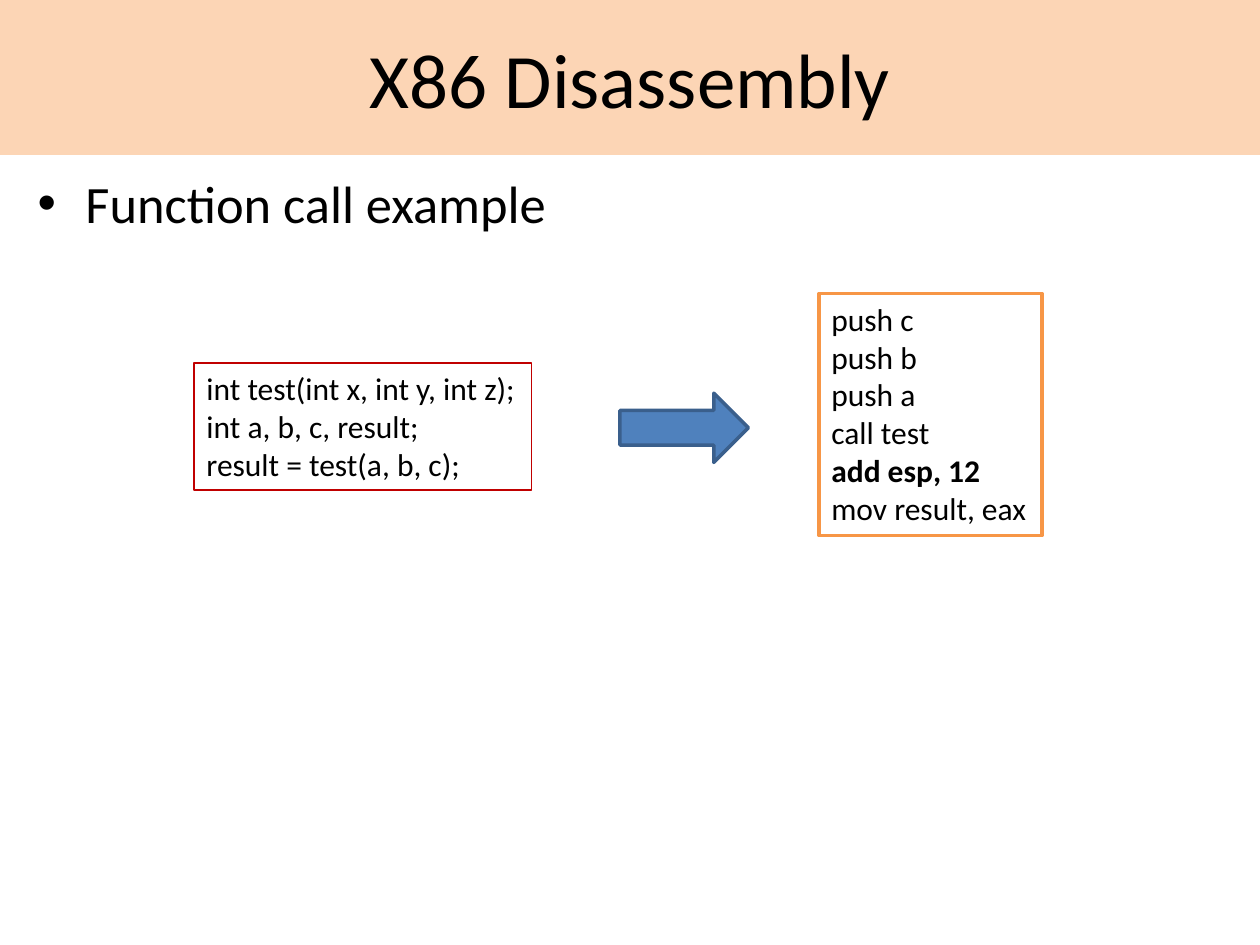
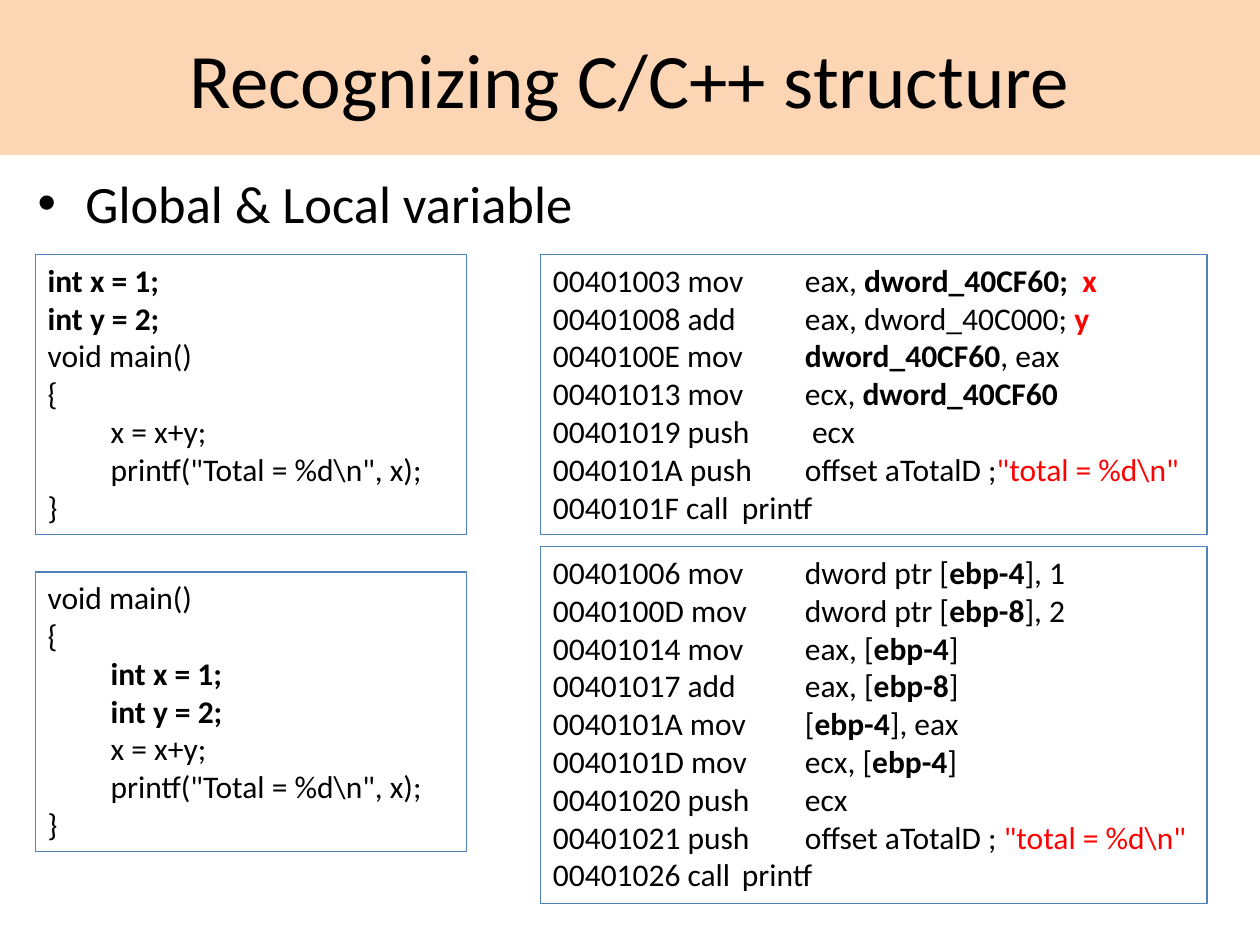
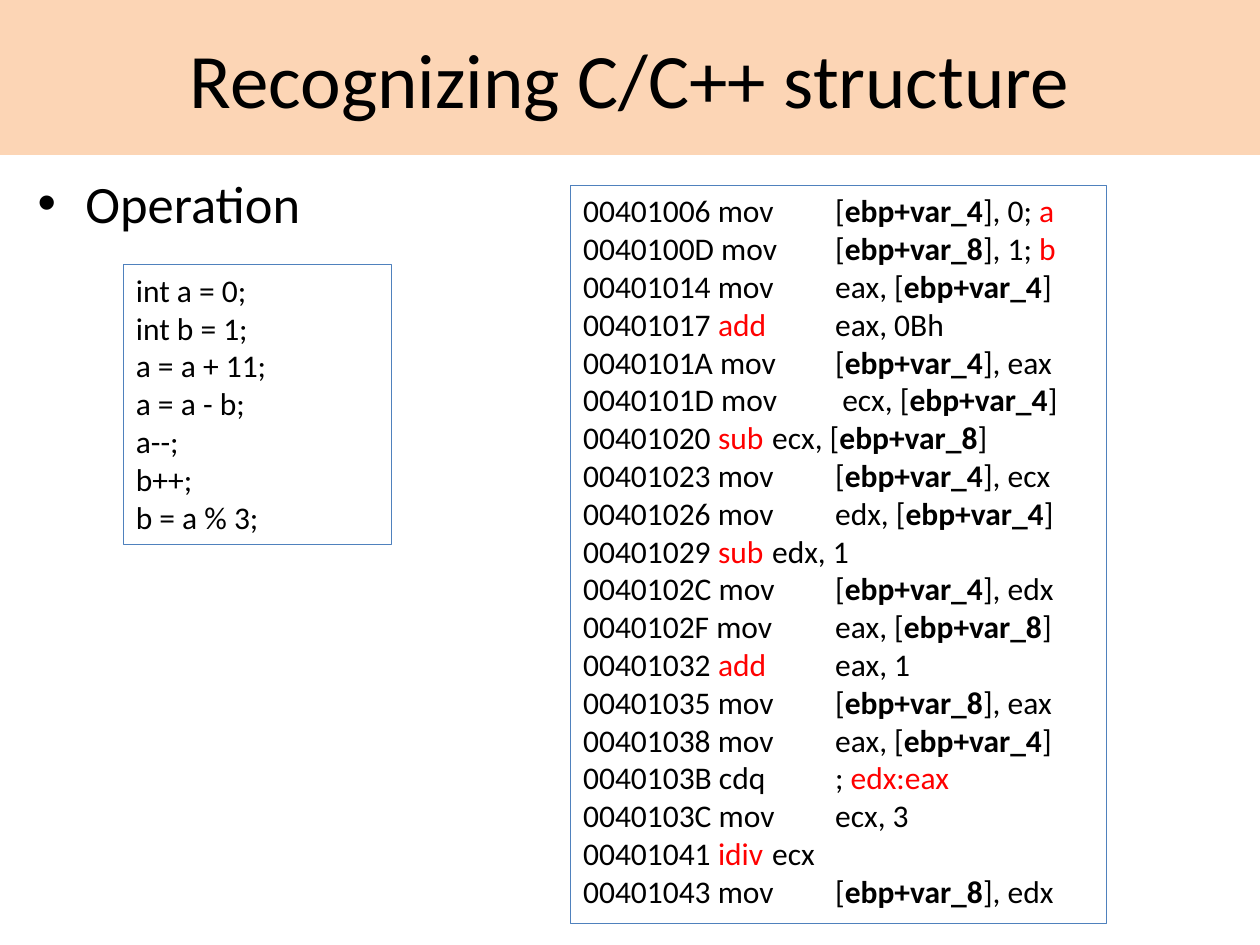
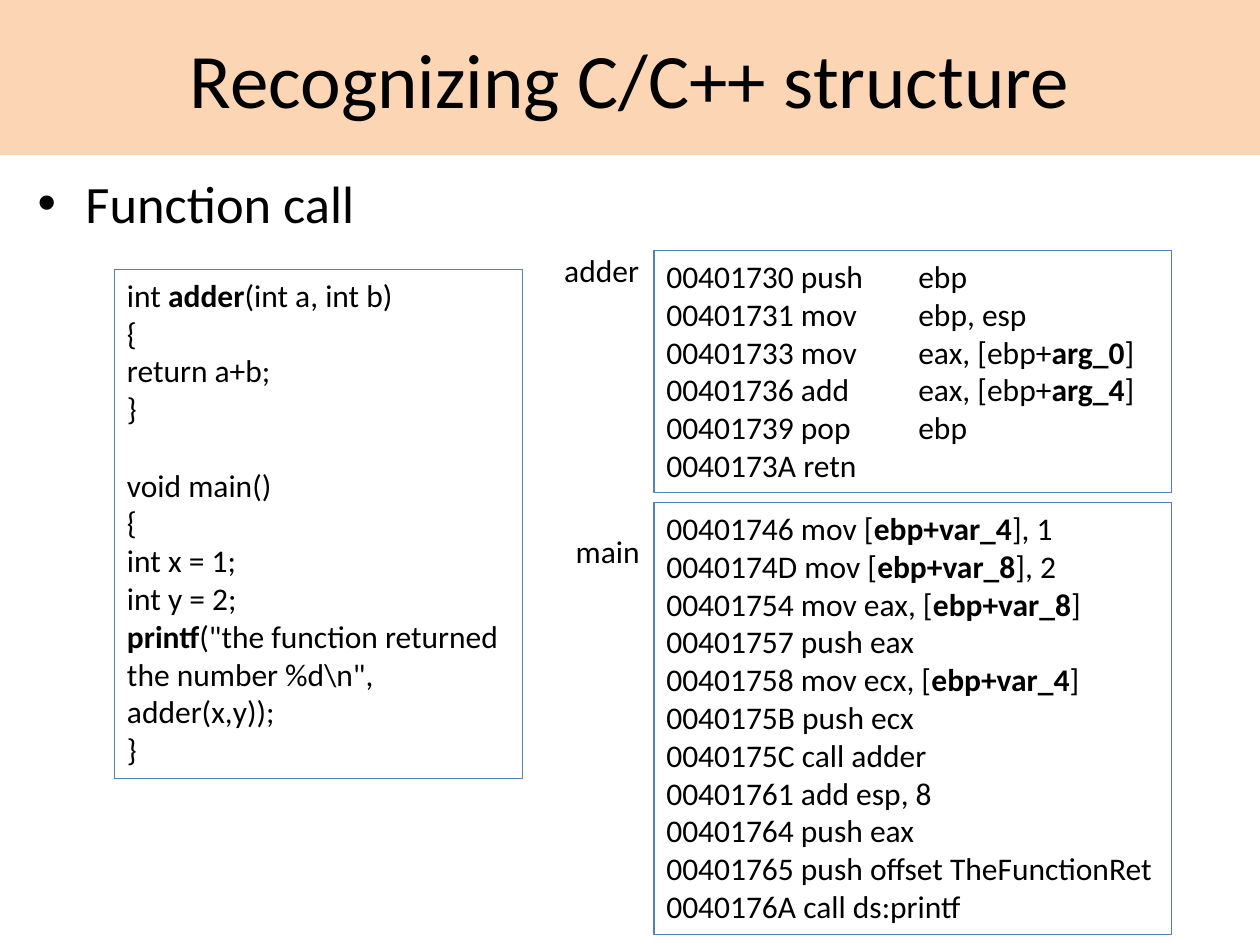
from lxml.etree import SubElement
from pptx import Presentation
from pptx.dml.color import RGBColor
from pptx.enum.shapes import MSO_SHAPE as Preset
from pptx.enum.text import MSO_ANCHOR as Anchor, PP_ALIGN as Align
from pptx.oxml.ns import qn
from pptx.util import Inches, Pt

FONT = "Calibri"
BLACK = "000000"
WHITE = "FFFFFF"
RED = "FF0000"
PEACH = "FCD5B5"
BLUE = "4F81BD"
DARK_BLUE = "3A5F8C"
DARK_RED = "C00000"
ORANGE = "F79646"

STRUCTURE_TITLE = "Recognizing C/C++ structure"
BOLD_MARK = "*"
RED_MARK = "^"
CODE_LINE_HEIGHT = 22

CALL_SOURCE = """int test(int x, int y, int z);
int a, b, c, result;
result = test(a, b, c);"""

CALL_ASSEMBLY = """push c
push b
push a
call test
*add esp, 12*
mov result, eax"""

GLOBAL_SOURCE = """*int x = 1;*
*int y = 2;*
void main()
{
\tx = x+y;
\tprintf("Total = %d\\n", x);
}"""

LOCAL_SOURCE = """void main()
{
\t*int x = 1;*
\t*int y = 2;*
\tx = x+y;
\tprintf("Total = %d\\n", x);
}"""

GLOBAL_ASSEMBLY = """00401003 mov \teax, *dword_40CF60;  ^x^*
00401008 add \teax, dword_40C000; *^y^*
0040100E mov \t*dword_40CF60*, eax
00401013 mov \tecx, *dword_40CF60*
00401019 push\t ecx
0040101A push \toffset aTotalD ;^"total = %d\\n"^
0040101F call \tprintf"""

LOCAL_ASSEMBLY = """00401006 mov \tdword ptr [*ebp-4*], 1
0040100D mov \tdword ptr [*ebp-8*], 2
00401014 mov \teax, [*ebp-4*]
00401017 add \teax, [*ebp-8*]
0040101A mov \t[*ebp-4*], eax
0040101D mov \tecx, [*ebp-4*]
00401020 push \tecx
00401021 push \toffset aTotalD ; ^"total = %d\\n"^
00401026 call \tprintf"""

OPERATION_SOURCE = """int a = 0;
int b = 1;
a = a + 11;
a = a - b;
a--;
b++;
b = a % 3;"""

OPERATION_ASSEMBLY = """00401006 mov \t[*ebp+var_4*], 0; ^a^
0040100D mov \t[*ebp+var_8*], 1; ^b^
00401014 mov \teax, [*ebp+var_4*]
00401017 ^add^ \teax, 0Bh
0040101A mov \t[*ebp+var_4*], eax
0040101D mov\t ecx, [*ebp+var_4*]
00401020 ^sub^ \tecx, [*ebp+var_8*]
00401023 mov \t[*ebp+var_4*], ecx
00401026 mov \tedx, [*ebp+var_4*]
00401029 ^sub^ \tedx, 1
0040102C mov \t[*ebp+var_4*], edx
0040102F mov \teax, [*ebp+var_8*]
00401032 ^add^ \teax, 1
00401035 mov \t[*ebp+var_8*], eax
00401038 mov \teax, [*ebp+var_4*]
0040103B cdq\t\t; ^edx:eax^
0040103C mov \tecx, 3
00401041 ^idiv^\tecx
00401043 mov \t[*ebp+var_8*], edx"""

ADDER_SOURCE = """int *adder*(int a, int b)
{
return a+b;
}

void main()
{
int x = 1;
int y = 2;
*printf*("the function returned the number %d\\n", adder(x,y));
}"""

ADDER_ASSEMBLY = """00401730 push \tebp
00401731 mov \tebp, esp
00401733 mov \teax, [ebp+*arg_0*]
00401736 add \teax, [ebp+*arg_4*]
00401739 pop \tebp
0040173A retn"""

MAIN_ASSEMBLY = """00401746 mov [*ebp+var_4*], 1
0040174D mov [*ebp+var_8*], 2
00401754 mov eax, [*ebp+var_8*]
00401757 push eax
00401758 mov ecx, [*ebp+var_4*]
0040175B push ecx
0040175C call adder
00401761 add esp, 8
00401764 push eax
00401765 push offset TheFunctionRet
0040176A call ds:printf"""


def color(value):
    return RGBColor.from_string(value)


def set_fill(shape, value):
    shape.fill.solid()
    shape.fill.fore_color.rgb = color(value)


def set_line(shape, value, width):
    shape.line.color.rgb = color(value)
    shape.line.width = Pt(width)


def set_font(paragraph, size):
    paragraph.font.name = FONT
    paragraph.font.size = Pt(size)
    paragraph.font.color.rgb = color(BLACK)


def set_indent(paragraph, left, first=0):
    properties = paragraph._p.get_or_add_pPr()
    properties.set("marL", str(Inches(left)))
    properties.set("indent", str(Inches(first)))
    return properties


def add_marked_runs(paragraph, text):
    bold = red = False
    for mark in (BOLD_MARK, RED_MARK):
        text = text.replace(mark, f"|{mark}|")
    for piece in text.split("|"):
        if piece == BOLD_MARK:
            bold = not bold
        elif piece == RED_MARK:
            red = not red
        elif piece:
            run = paragraph.add_run()
            run.text = piece
            if bold:
                run.font.bold = True
            if red:
                run.font.color.rgb = color(RED)


def add_text_box(slide, box):
    shape = slide.shapes.add_textbox(*map(Inches, box))
    shape.text_frame.word_wrap = True
    return shape


def add_code(slide, box, code, line=None, width=0.75, fill=None):
    shape = add_text_box(slide, box)
    if line:
        set_line(shape, line, width)
    if fill:
        set_fill(shape, fill)
    frame = shape.text_frame
    after_gap = False
    for number, text in enumerate(code.split("\n")):
        if not text:
            after_gap = True
            continue
        paragraph = frame.add_paragraph() if number else frame.paragraphs[0]
        if text.startswith("\t"):
            set_indent(paragraph, 0.5)
        if after_gap:
            paragraph.space_before = Pt(CODE_LINE_HEIGHT)
            after_gap = False
        set_font(paragraph, 18)
        add_marked_runs(paragraph, text.lstrip("\t"))


def add_bullet(slide, text):
    shape = add_text_box(slide, (0.2, 1.31, 9.61, 5.59))
    paragraph = shape.text_frame.paragraphs[0]
    properties = set_indent(paragraph, 0.38, -0.38)
    SubElement(properties, qn("a:buFont")).set("typeface", "Arial")
    SubElement(properties, qn("a:buChar")).set("char", "•")
    set_font(paragraph, 30)
    paragraph.add_run().text = text


def add_arrow(slide, box):
    arrow = slide.shapes.add_shape(Preset.RIGHT_ARROW, *map(Inches, box))
    arrow.shadow.inherit = False
    set_fill(arrow, BLUE)
    set_line(arrow, DARK_BLUE, 2)


def add_topic_slide(presentation, heading, topic):
    slide = presentation.slides.add_slide(presentation.slide_layouts[5])
    title = slide.shapes.title
    title.left, title.top = Inches(0), Inches(0)
    title.width, title.height = presentation.slide_width, Inches(1.23)
    set_fill(title, PEACH)
    title.text_frame.text = heading
    title.text_frame.vertical_anchor = Anchor.MIDDLE
    paragraph = title.text_frame.paragraphs[0]
    paragraph.alignment = Align.CENTER
    set_font(paragraph, 44)
    add_bullet(slide, topic)
    return slide


def add_call_example(presentation):
    slide = add_topic_slide(presentation, "X86 Disassembly", "Function call example")
    add_code(slide, (1.54, 2.88, 2.68, 1.01), CALL_SOURCE, DARK_RED)
    add_code(slide, (6.5, 2.33, 1.77, 1.92), CALL_ASSEMBLY, ORANGE, 2, WHITE)
    add_arrow(slide, (4.92, 3.12, 1.02, 0.55))


def add_variables(presentation):
    slide = add_topic_slide(presentation, STRUCTURE_TITLE, "Global & Local variable")
    add_code(slide, (0.28, 2.02, 3.42, 2.22), GLOBAL_SOURCE, BLUE)
    add_code(slide, (0.28, 4.54, 3.42, 2.22), LOCAL_SOURCE, BLUE)
    add_code(slide, (4.29, 2.02, 5.29, 2.22), GLOBAL_ASSEMBLY, BLUE)
    add_code(slide, (4.29, 4.34, 5.29, 2.83), LOCAL_ASSEMBLY, BLUE)


def add_operation(presentation):
    slide = add_topic_slide(presentation, STRUCTURE_TITLE, "Operation")
    add_code(slide, (0.98, 2.1, 2.13, 2.22), OPERATION_SOURCE, BLUE)
    add_code(slide, (4.53, 1.47, 4.25, 5.86), OPERATION_ASSEMBLY, BLUE)


def add_function_call(presentation):
    slide = add_topic_slide(presentation, STRUCTURE_TITLE, "Function call")
    add_code(slide, (0.91, 2.14, 3.24, 4.04), ADDER_SOURCE, BLUE)
    add_code(slide, (5.19, 1.99, 4.11, 1.92), ADDER_ASSEMBLY, BLUE)
    add_code(slide, (5.19, 3.99, 4.11, 3.43), MAIN_ASSEMBLY, BLUE)
    add_code(slide, (4.38, 1.94, 0.8, 0.4), "adder")
    add_code(slide, (4.47, 4.17, 0.72, 0.4), "main")


def main():
    presentation = Presentation()
    presentation.slide_width = Inches(10)
    presentation.slide_height = Inches(7.5)
    add_call_example(presentation)
    add_variables(presentation)
    add_operation(presentation)
    add_function_call(presentation)
    presentation.save("out.pptx")


if __name__ == "__main__":
    main()
